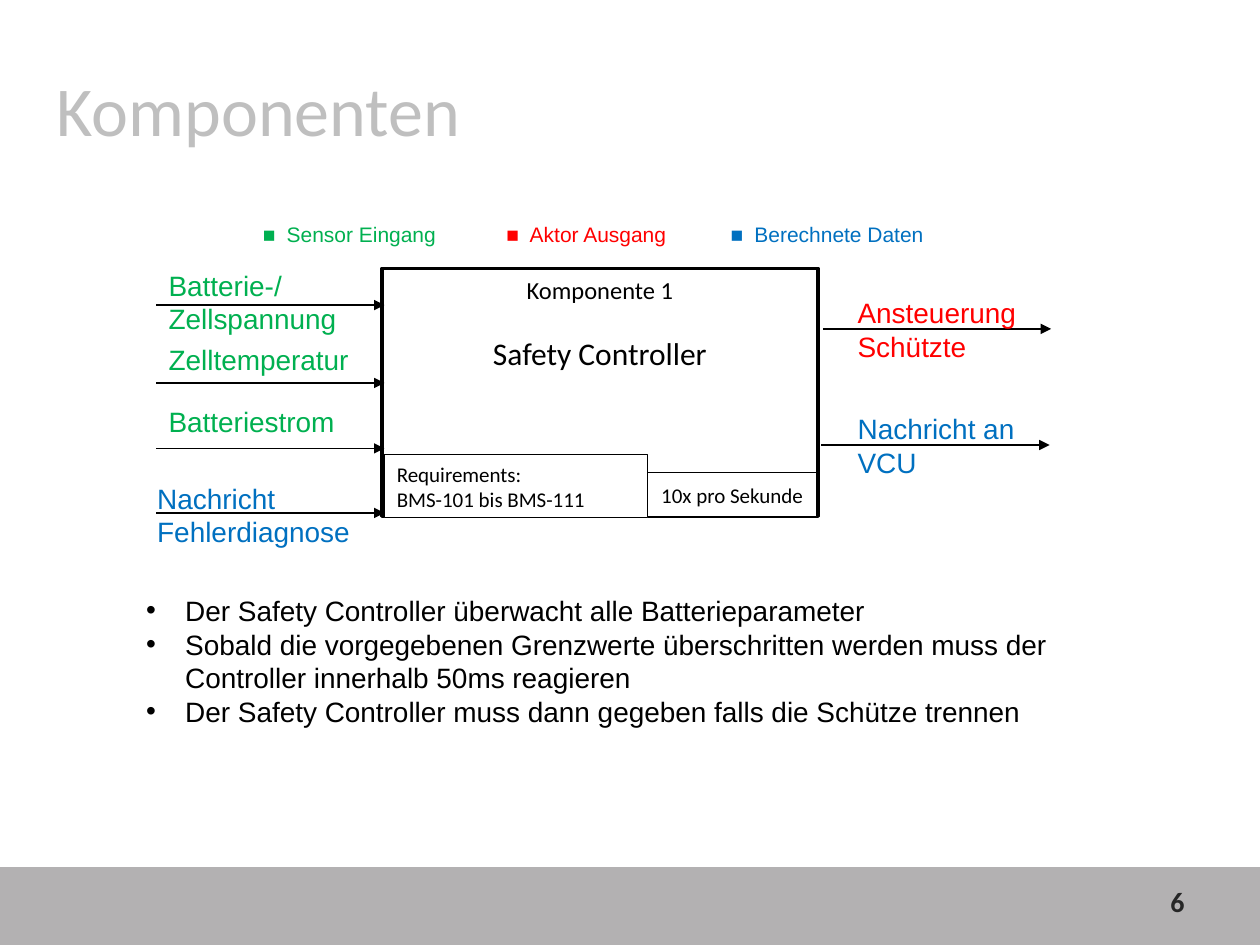
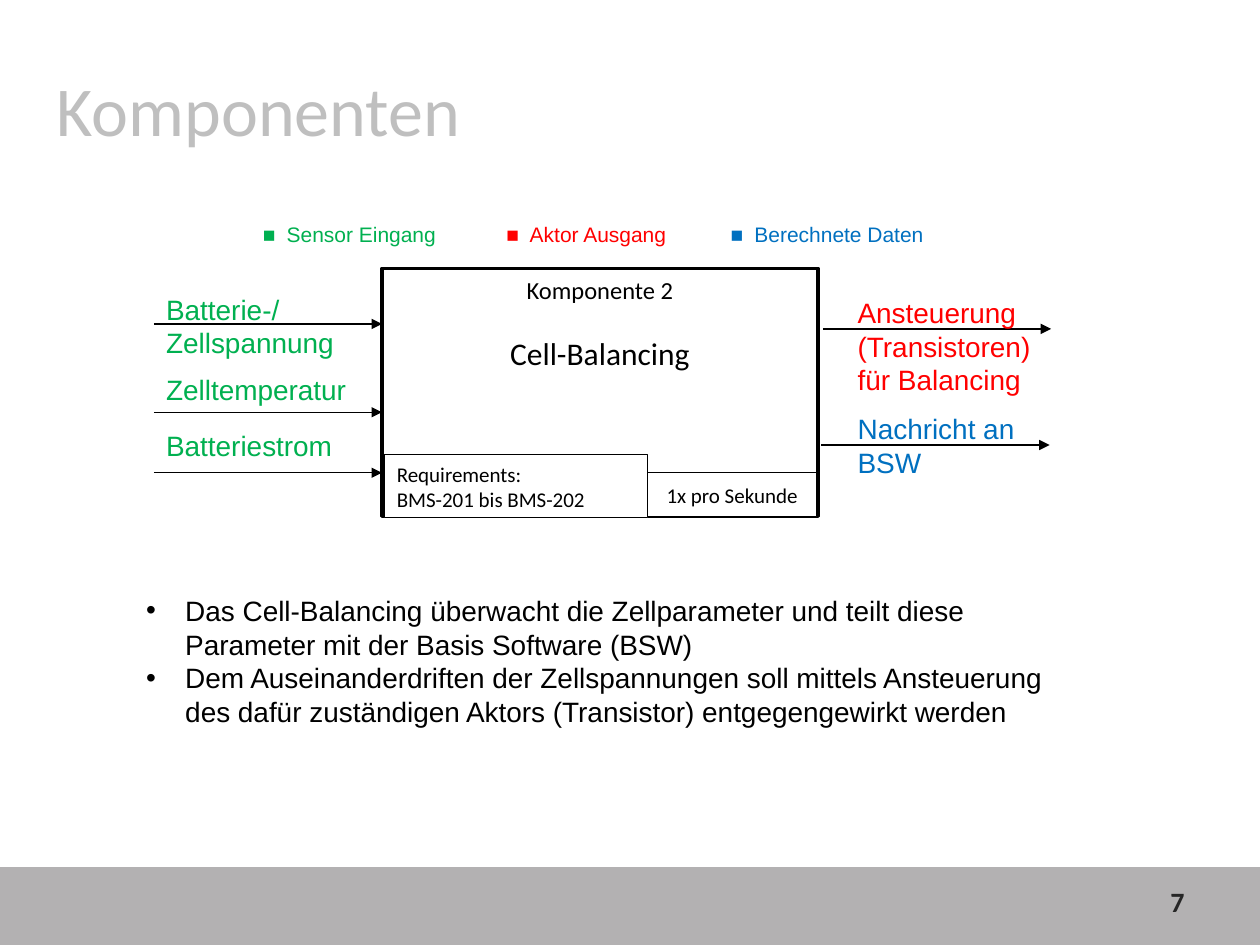
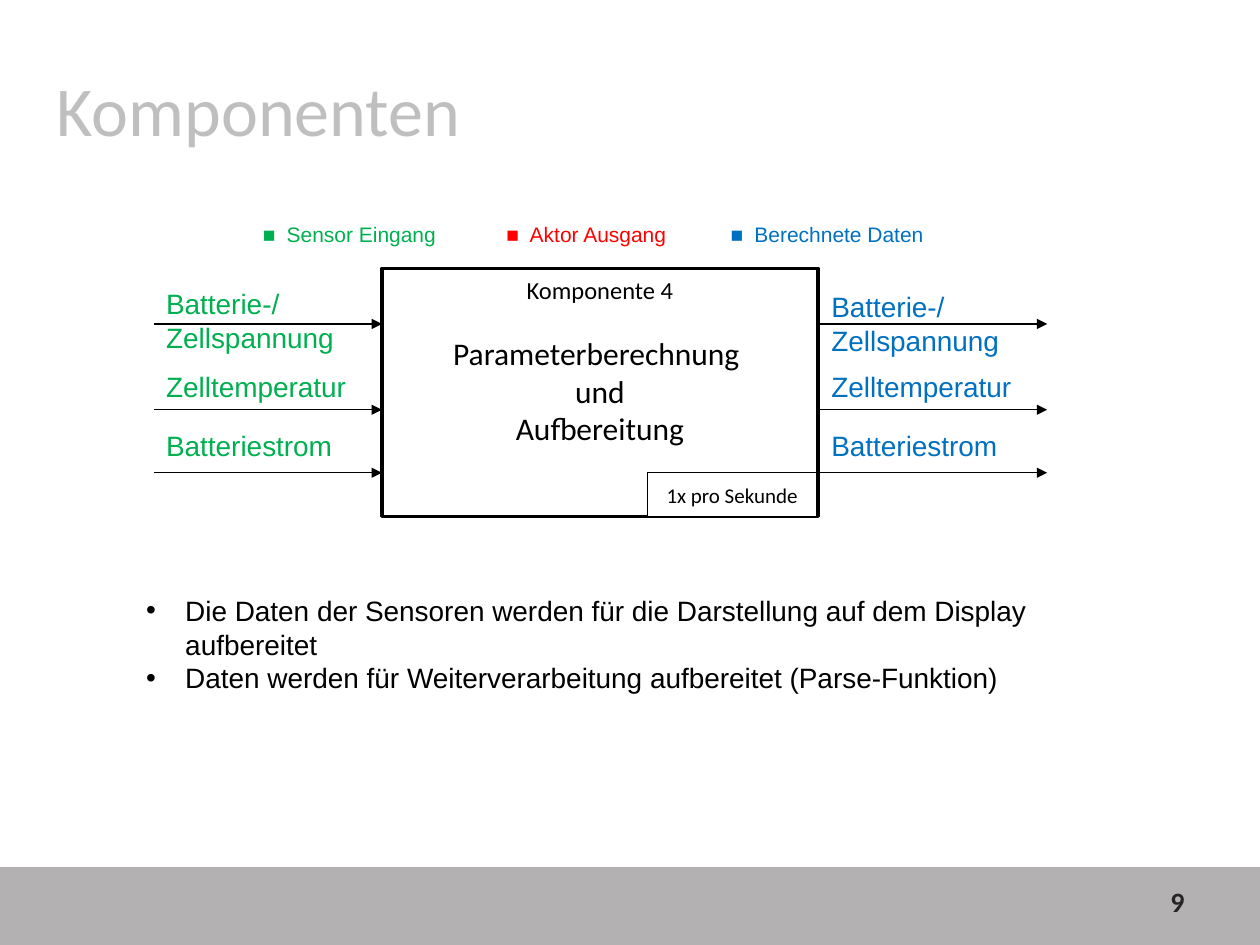
from lxml.etree import SubElement
from pptx import Presentation
from pptx.dml.color import RGBColor
from pptx.enum.shapes import MSO_CONNECTOR, MSO_SHAPE
from pptx.enum.text import MSO_ANCHOR, MSO_AUTO_SIZE, PP_ALIGN
from pptx.oxml.ns import qn
from pptx.util import Cm, Pt


class Theme:
    heading_font = "Calibri"
    text_font = "Arial"
    title_size = 40
    name_size = 18
    text_size = 16
    component_size = 14
    small_size = 12
    title = RGBColor.from_string("BFBFBF")
    band = RGBColor.from_string("B3B1B2")
    number = RGBColor.from_string("262626")
    black = RGBColor.from_string("000000")
    white = RGBColor.from_string("FFFFFF")
    sensor = RGBColor.from_string("00B050")
    actuator = RGBColor.from_string("FF0000")
    computed = RGBColor.from_string("0070C0")


def write(para, text, size, font=Theme.heading_font, colour=Theme.black, align=PP_ALIGN.LEFT):
    para.alignment = align
    span = para.add_run()
    span.text = text
    span.font.size = Pt(size)
    span.font.name = font
    span.font.color.rgb = colour
    return span


def add_panel(page, left, top, width, height, line_width, fill=Theme.white):
    panel = page.shapes.add_shape(MSO_SHAPE.RECTANGLE, Cm(left), Cm(top), Cm(width), Cm(height))
    panel.shadow.inherit = False
    panel.fill.solid()
    panel.fill.fore_color.rgb = fill
    if line_width:
        panel.line.color.rgb = Theme.black
        panel.line.width = Pt(line_width)
    else:
        panel.line.fill.background()
    panel.text_frame.vertical_anchor = MSO_ANCHOR.TOP
    return panel


ARROW_LENGTH = 4.6
LABEL_WIDTH = 4.19
LEGEND = [
    ("Sensor Eingang", Theme.sensor),
    ("Aktor Ausgang", Theme.actuator),
    ("Berechnete Daten", Theme.computed),
]
LEGEND_TABS = [0.48, 4.91, 5.38, 9.43, 9.91]

# Signal fields: text, colour, line count, label left, label top, arrow left, arrow height
COMPONENTS = [
    {
        "number": "6",
        "component": "Komponente 1",
        "name": ["Safety Controller"],
        "requirements": "BMS-101 bis BMS-111",
        "rate": "10x pro Sekunde",
        "signals": [
            ("Batterie-/ Zellspannung", Theme.sensor, 2, 3.15, 5.28, 3.15, 6.15),
            ("Zelltemperatur", Theme.sensor, 1, 3.15, 6.78, 3.15, 7.72),
            ("Batteriestrom", Theme.sensor, 1, 3.15, 8.03, 3.15, 9.04),
            ("Nachricht Fehlerdiagnose", Theme.computed, 2, 2.92, 9.58, 3.15, 10.34),
            ("Ansteuerung Schützte", Theme.actuator, 2, 17.04, 5.84, 16.59, 6.63),
            ("Nachricht an VCU", Theme.computed, 2, 17.04, 8.18, 16.56, 8.97),
        ],
        "notes": [
            "Der Safety Controller überwacht alle Batterieparameter",
            "Sobald die vorgegebenen Grenzwerte überschritten werden muss der Controller innerhalb 50ms reagieren",
            "Der Safety Controller muss dann gegeben falls die Schütze trennen",
        ],
    },
    {
        "number": "7",
        "component": "Komponente 2",
        "name": ["Cell-Balancing"],
        "requirements": "BMS-201 bis BMS-202",
        "rate": "1x pro Sekunde",
        "signals": [
            ("Batterie-/ Zellspannung", Theme.sensor, 2, 3.1, 5.77, 3.1, 6.53),
            ("Zelltemperatur", Theme.sensor, 1, 3.1, 7.39, 3.1, 8.31),
            ("Batteriestrom", Theme.sensor, 1, 3.1, 8.51, 3.1, 9.53),
            ("Ansteuerung (Transistoren) für Balancing", Theme.actuator, 3, 17.04, 5.84, 16.59, 6.63),
            ("Nachricht an BSW", Theme.computed, 2, 17.04, 8.18, 16.56, 8.97),
        ],
        "notes": [
            "Das Cell-Balancing überwacht die Zellparameter und teilt diese Parameter mit der Basis Software (BSW)",
            "Dem Auseinanderdriften der Zellspannungen soll mittels Ansteuerung des dafür zuständigen Aktors (Transistor) entgegengewirkt werden",
        ],
    },
    {
        "number": "9",
        "component": "Komponente 4",
        "name": ["Parameterberechnung ", "und", "Aufbereitung"],
        "requirements": None,
        "rate": "1x pro Sekunde",
        "signals": [
            ("Batterie-/ Zellspannung", Theme.sensor, 2, 3.1, 5.66, 3.1, 6.53),
            ("Zelltemperatur", Theme.sensor, 1, 3.1, 7.32, 3.1, 8.26),
            ("Batteriestrom", Theme.sensor, 1, 3.1, 8.51, 3.1, 9.53),
            ("Batterie-/ Zellspannung", Theme.computed, 2, 16.51, 5.72, 16.51, 6.53),
            ("Zelltemperatur", Theme.computed, 1, 16.51, 7.32, 16.51, 8.26),
            ("Batteriestrom", Theme.computed, 1, 16.51, 8.51, 16.51, 9.53),
        ],
        "notes": [
            "Die Daten der Sensoren werden für die Darstellung auf dem Display aufbereitet",
            "Daten werden für Weiterverarbeitung aufbereitet (Parse-Funktion)",
        ],
    },
]

deck = Presentation()
deck.slide_width = Cm(25.4)
deck.slide_height = Cm(19.05)
layout = deck.slide_layouts[1]

frames = [(0.89, 1.22, 17.81, 1.96), (2.69, 11.84, 19.41, 3)]
for index, (left, top, width, height) in enumerate(frames):
    holder = layout.placeholders[index]
    holder.left, holder.top = Cm(left), Cm(top)
    holder.width, holder.height = Cm(width), Cm(height)
    holder.text_frame.vertical_anchor = MSO_ANCHOR.TOP
    holder.text_frame.auto_size = MSO_AUTO_SIZE.NONE

for position, content in enumerate(COMPONENTS):
    page = deck.slides.add_slide(layout)
    if position == 0:
        band = add_panel(page, 0, 17.48, 25.4, 1.57, 0, Theme.band)
        deck.slide_master.shapes[0].element.addprevious(band.element)

    title = page.shapes.title.text_frame.paragraphs[0]
    write(title, "Komponenten", Theme.title_size, colour=Theme.title)

    number = page.shapes.add_textbox(Cm(18.21), Cm(17.65), Cm(5.92), Cm(1.02)).text_frame
    number.word_wrap = True
    number.vertical_anchor = MSO_ANCHOR.MIDDLE
    span = write(number.paragraphs[0], content["number"], Theme.text_size,
                 colour=Theme.number, align=PP_ALIGN.RIGHT)
    span.font.bold = True

    component = add_panel(page, 7.7, 5.41, 8.79, 5, 2).text_frame
    write(component.paragraphs[0], content["component"], Theme.component_size, align=PP_ALIGN.CENTER)
    component.paragraphs[0].space_after = Pt(17)
    for line in content["name"]:
        write(component.add_paragraph(), line, Theme.name_size, align=PP_ALIGN.CENTER)

    rate = add_panel(page, 13.06, 9.53, 3.4, 0.89, 0.75).text_frame
    rate.vertical_anchor = MSO_ANCHOR.MIDDLE
    write(rate.paragraphs[0], content["rate"], Theme.small_size, align=PP_ALIGN.CENTER)

    if content["requirements"]:
        requirements = add_panel(page, 7.75, 9.17, 5.31, 1.27, 0.75).text_frame
        write(requirements.paragraphs[0], "Requirements:", Theme.small_size)
        write(requirements.add_paragraph(), content["requirements"], Theme.small_size)

    legend = page.shapes.add_textbox(Cm(5.05), Cm(4.34), Cm(14.12), Cm(0.76)).text_frame
    legend.word_wrap = True
    para = legend.paragraphs[0]
    for index, (meaning, colour) in enumerate(LEGEND):
        lead = "\t" if index else ""
        write(para, f"{lead}■\t{meaning}", Theme.small_size, Theme.text_font, colour)
    tabs = SubElement(para._p.get_or_add_pPr(), qn("a:tabLst"))
    for stop in LEGEND_TABS:
        SubElement(tabs, qn("a:tab"), pos=str(Cm(stop)), algn="l")

    for text, colour, lines, label_left, label_top, arrow_left, arrow_top in content["signals"]:
        arrow = page.shapes.add_connector(MSO_CONNECTOR.STRAIGHT, Cm(arrow_left), Cm(arrow_top),
                                          Cm(arrow_left + ARROW_LENGTH), Cm(arrow_top))
        arrow.line.color.rgb = Theme.black
        arrow.line.width = Pt(0.75)
        SubElement(arrow.line._get_or_add_ln(), qn("a:tailEnd"), type="triangle")
        SubElement(arrow.element.spPr, qn("a:effectLst"))

        label_width = LABEL_WIDTH + max(0, arrow_left - label_left)
        label = page.shapes.add_textbox(Cm(label_left), Cm(label_top),
                                        Cm(label_width), Cm(0.26 + 0.68 * lines)).text_frame
        label.word_wrap = True
        write(label.paragraphs[0], text, Theme.text_size, Theme.text_font, colour)

    body = page.placeholders[1].text_frame
    for index, note in enumerate(content["notes"]):
        para = body.add_paragraph() if index else body.paragraphs[0]
        write(para, note, Theme.text_size, Theme.text_font)
        para.space_before = Pt(0)
        properties = para._p.get_or_add_pPr()
        properties.set("marL", str(Cm(0.79)))
        properties.set("indent", str(-Cm(0.79)))

deck.save("out.pptx")
